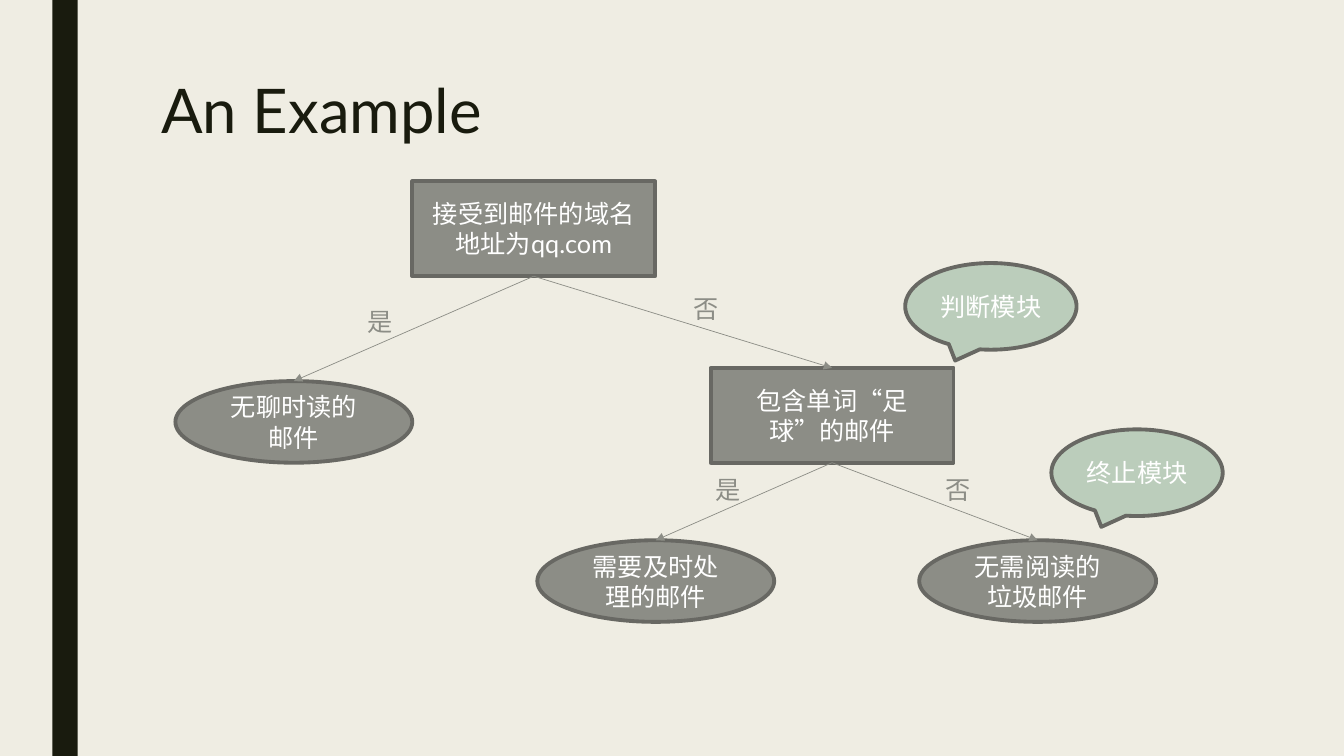
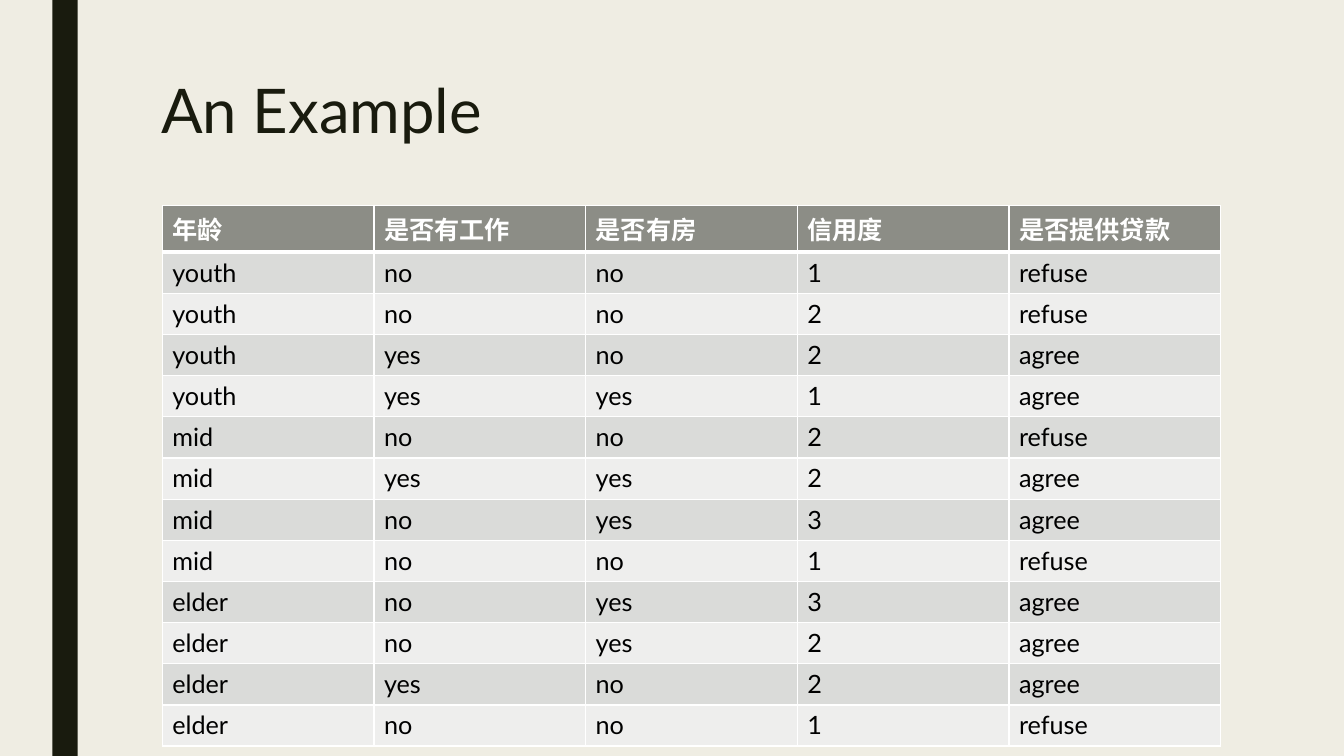
"""Build two slides on decision trees: an e-mail sorting tree and a loan data table."""
from lxml.etree import SubElement
from pptx import Presentation
from pptx.dml.color import RGBColor
from pptx.enum.shapes import MSO_CONNECTOR, MSO_SHAPE
from pptx.enum.text import MSO_ANCHOR, PP_ALIGN
from pptx.oxml.ns import qn
from pptx.util import Pt

COLORS = {
    "background": "EFEDE3",
    "ink": "191B0E",
    "gray": "8C8D86",
    "outline": "686863",
    "callout": "BBCDBB",
    "white": "FFFFFF",
    "black": "000000",
    "odd_row": "DADBD9",
    "even_row": "EEEEED",
}
FONT = "Lato"


def write(frame, text, color, size=18, bold=False, align=PP_ALIGN.LEFT,
          anchor=MSO_ANCHOR.TOP, line_spacing=None):
    frame.word_wrap = True
    frame.vertical_anchor = anchor
    paragraph = frame.paragraphs[0]
    paragraph.alignment = align
    paragraph.line_spacing = line_spacing
    run = paragraph.add_run()
    run.text = text
    run.font.name = FONT
    run.font.size = Pt(size)
    run.font.bold = bold
    run.font.color.rgb = RGBColor.from_string(COLORS[color])


def draw(slide, kind, left, top, width, height, fill, text=None):
    shape = slide.shapes.add_shape(kind, Pt(left), Pt(top), Pt(width), Pt(height))
    shape.shadow.inherit = False
    shape.fill.solid()
    shape.fill.fore_color.rgb = RGBColor.from_string(COLORS[fill])
    if text is None:
        shape.line.fill.background()
    else:
        shape.line.color.rgb = RGBColor.from_string(COLORS["outline"])
        shape.line.width = Pt(2.75)
        write(shape.text_frame, text, "white", align=PP_ALIGN.CENTER,
              anchor=MSO_ANCHOR.MIDDLE)
    return shape


prs = Presentation()
prs.slide_width, prs.slide_height = Pt(960), Pt(540)
master_fill = prs.slide_master.background.fill
master_fill.solid()
master_fill.fore_color.rgb = RGBColor.from_string(COLORS["background"])

tree_slide, data_slide = [prs.slides.add_slide(prs.slide_layouts[5]) for _ in range(2)]
for slide in (tree_slide, data_slide):
    draw(slide, MSO_SHAPE.RECTANGLE, 37.4, 0, 18, 540, "ink")
    title = slide.shapes.title
    title.left, title.top, title.width, title.height = Pt(108), Pt(54), Pt(756), Pt(116.6)
    write(title.text_frame, "An Example", "ink", size=44, line_spacing=0.89)

QUESTION = (MSO_SHAPE.RECTANGLE, 173.5, 67.7, "gray")
OUTCOME = (MSO_SHAPE.OVAL, 169.2, 58.3, "gray")
REMARK = (MSO_SHAPE.OVAL_CALLOUT, 122.4, 61.9, "callout")
tree_parts = {
    "domain": (QUESTION, 294.5, 129.6, "接受到邮件的域名地址为qq.com"),
    "bored": (OUTCOME, 125.3, 272.2, "无聊时读的邮件"),
    "football": (QUESTION, 507.6, 262.8, "包含单词“足球”的邮件"),
    "urgent": (OUTCOME, 383.8, 385.9, "需要及时处理的邮件"),
    "spam": (OUTCOME, 656.6, 385.9, "无需阅读的垃圾邮件"),
    "decision": (REMARK, 646.6, 187.9, "判断模块"),
    "terminal": (REMARK, 751, 306.7, "终止模块"),
}
nodes = {}
for part, ((kind, width, height, fill), left, top, text) in tree_parts.items():
    nodes[part] = draw(tree_slide, kind, left, top, width, height, fill, text)

branches = [
    ("domain", "bored", "是", 255.6, 215.3),
    ("domain", "football", "否", 488.2, 205.9),
    ("football", "urgent", "是", 504, 335.5),
    ("football", "spam", "否", 668.2, 335.5),
]
for parent, child, answer, left, top in branches:
    branch = tree_slide.shapes.add_connector(MSO_CONNECTOR.STRAIGHT, 0, 0, 0, 0)
    branch.begin_connect(nodes[parent], 2)
    branch.end_connect(nodes[child], 0)
    branch.line.color.rgb = RGBColor.from_string(COLORS["gray"])
    branch.line.width = Pt(0.5)
    properties = branch._element.spPr
    SubElement(properties.find(qn("a:ln")), qn("a:tailEnd"), type="triangle")
    SubElement(properties, qn("a:effectLst"))
    label = tree_slide.shapes.add_textbox(Pt(left), Pt(top), Pt(56), Pt(28.8))
    write(label.text_frame, answer, "gray")

loans = [
    ("年龄", "是否有工作", "是否有房", "信用度", "是否提供贷款"),
    ("youth", "no", "no", "1", "refuse"),
    ("youth", "no", "no", "2", "refuse"),
    ("youth", "yes", "no", "2", "agree"),
    ("youth", "yes", "yes", "1", "agree"),
    ("mid", "no", "no", "2", "refuse"),
    ("mid", "yes", "yes", "2", "agree"),
    ("mid", "no", "yes", "3", "agree"),
    ("mid", "no", "no", "1", "refuse"),
    ("elder", "no", "yes", "3", "agree"),
    ("elder", "no", "yes", "2", "agree"),
    ("elder", "yes", "no", "2", "agree"),
    ("elder", "no", "no", "1", "refuse"),
]
ROW_HEIGHT = 29.4
loan_table = data_slide.shapes.add_table(
    len(loans), len(loans[0]), Pt(115.9), Pt(146.9), Pt(756), Pt(ROW_HEIGHT * len(loans))
).table
for row_index, values in enumerate(loans):
    loan_table.rows[row_index].height = Pt(ROW_HEIGHT)
    is_header = row_index == 0
    row_fill = "gray" if is_header else "odd_row" if row_index % 2 else "even_row"
    for column_index, value in enumerate(values):
        cell = loan_table.cell(row_index, column_index)
        write(cell.text_frame, value, "white" if is_header else "black", bold=is_header)
        cell_properties = cell._tc.get_or_add_tcPr()
        for side in ("lnL", "lnR", "lnT", "lnB"):
            below_header = (row_index, side) in ((0, "lnB"), (1, "lnT"))
            border = SubElement(cell_properties, qn(f"a:{side}"),
                                w=str(Pt(3 if below_header else 1)))
            border_fill = SubElement(border, qn("a:solidFill"))
            SubElement(border_fill, qn("a:srgbClr"), val=COLORS["white"])
        cell.fill.solid()
        cell.fill.fore_color.rgb = RGBColor.from_string(COLORS[row_fill])

prs.save("out.pptx")
